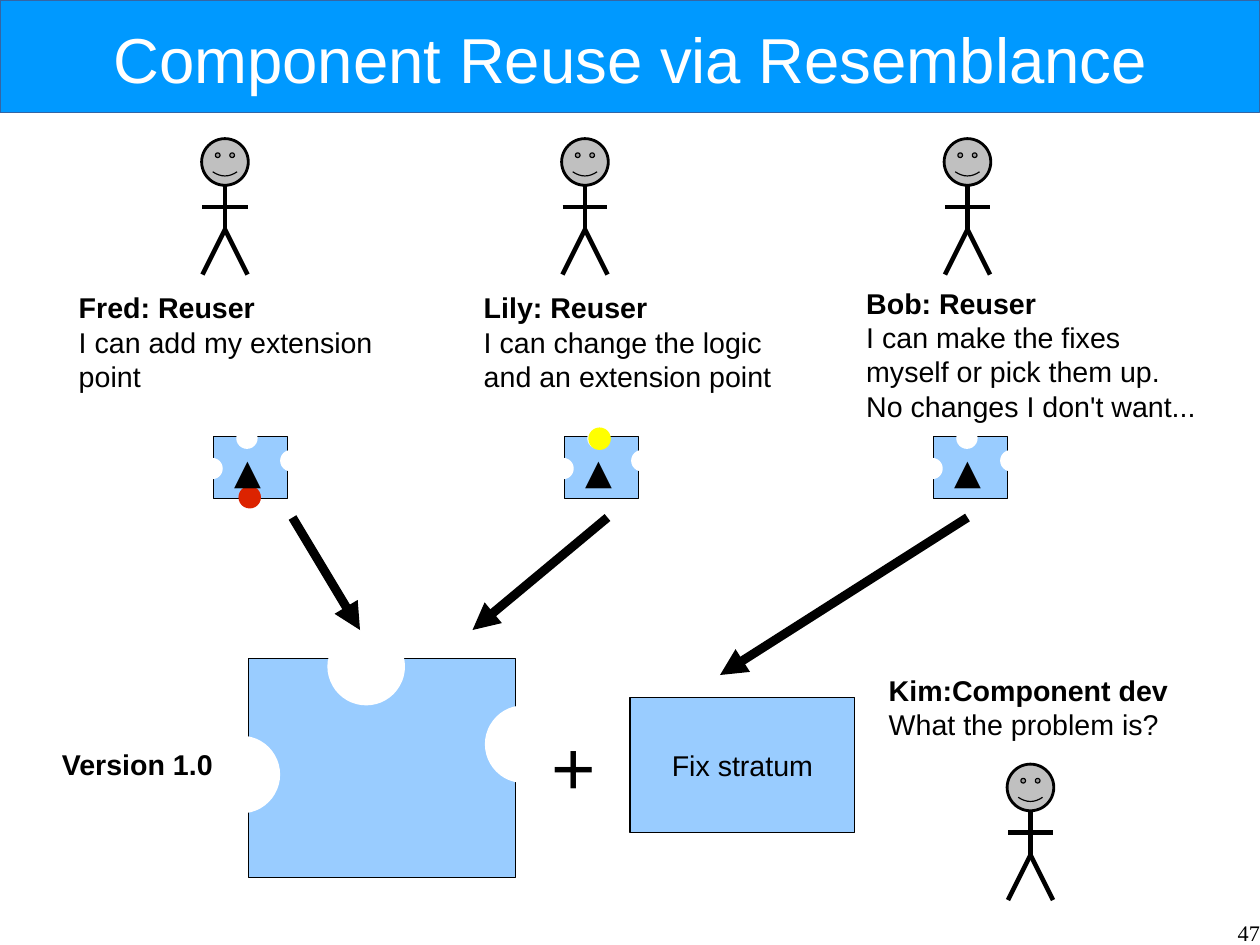
"""Build the slide on component reuse via resemblance."""
from lxml.etree import SubElement
from pptx import Presentation
from pptx.dml.color import RGBColor
from pptx.enum.shapes import MSO_CONNECTOR, MSO_SHAPE
from pptx.enum.text import MSO_ANCHOR, MSO_AUTO_SIZE, PP_ALIGN
from pptx.oxml.ns import qn
from pptx.util import Pt

PX = 9000
COLORS = {
    "banner": "0099FF", "banner_line": "3465A4", "block": "99CCFF",
    "black": "000000", "white": "FFFFFF", "face": "C0C0C0",
    "red": "DC2300", "yellow": "FFFF00",
}


def add_shape(shapes, kind, box, fill, line=None, width=0):
    shape = shapes.add_shape(kind, *[value * PX for value in box])
    shape.shadow.inherit = False
    shape.fill.solid()
    shape.fill.fore_color.rgb = RGBColor.from_string(COLORS[fill])
    if line:
        shape.line.color.rgb = RGBColor.from_string(COLORS[line])
        shape.line.width = Pt(width)
    else:
        shape.line.fill.background()
    return shape


def write_text(shape, text, size=18, font="Arial", color="black", heading=False,
               align=PP_ALIGN.LEFT, anchor=MSO_ANCHOR.TOP, wrap=True, inset=(10, 5)):
    frame = shape.text_frame
    frame.auto_size = MSO_AUTO_SIZE.NONE
    frame.word_wrap = wrap
    frame.vertical_anchor = anchor
    frame.margin_left = frame.margin_right = inset[0] * PX
    frame.margin_top = frame.margin_bottom = inset[1] * PX
    frame.text = text
    for index, paragraph in enumerate(frame.paragraphs):
        paragraph.alignment = align
        paragraph.font.size = Pt(size)
        paragraph.font.name = font
        paragraph.font.bold = heading and index == 0
        paragraph.font.color.rgb = RGBColor.from_string(COLORS[color])


presentation = Presentation()
presentation.slide_width = 1120 * PX
presentation.slide_height = 840 * PX
slide = presentation.slides.add_slide(presentation.slide_layouts[5])
shapes = slide.shapes

title = shapes.title
title.left, title.top, title.width, title.height = 56 * PX, 9 * PX, 1008 * PX, 86 * PX
write_text(title, "Component Reuse via Resemblance", size=40, color="white",
           align=PP_ALIGN.CENTER, anchor=MSO_ANCHOR.MIDDLE, inset=(0, 0))
banner = add_shape(shapes, MSO_SHAPE.RECTANGLE, (0, 0, 1120, 100), "banner", "banner_line")
title.element.addprevious(banner.element)

NOTCHES = [(70, -27), (-41, 69), (210, 42)]
for left, top, scale in [(221, 585, 1), (190, 388, 0.28), (502, 388, 0.28), (830, 388, 0.28)]:
    puzzle = shapes.add_group_shape().shapes
    add_shape(puzzle, MSO_SHAPE.RECTANGLE,
              (left, top, round(237 * scale), round(195 * scale)), "block", "black")
    diameter = round(69 * scale)
    for across, down in NOTCHES:
        add_shape(puzzle, MSO_SHAPE.OVAL,
                  (left + round(across * scale), top + round(down * scale), diameter, diameter),
                  "white")

for left, top, color in [(212, 432, "red"), (523, 380, "yellow")]:
    add_shape(shapes, MSO_SHAPE.OVAL, (left, top, 20, 20), color)

for left in (208, 520, 848):
    triangle = shapes.add_textbox(left * PX, 400 * PX, 45 * PX, 40 * PX)
    write_text(triangle, "▲", size=22, font="Calibri", inset=(0, 0))

labels = [
    ((45, 659, 155, 40), "Version 1.0", False),
    ((60, 253, 281, 97), "Fred: Reuser\nI can add my extension\npoint", False),
    ((420, 253, 275, 97), "Lily: Reuser\nI can change the logic\nand an extension point", False),
    ((760, 249, 313, 125), "Bob: Reuser\nI can make the fixes\nmyself or pick them up.\n"
                           "No changes I don't want...", False),
    ((780, 593, 324, 68), "Kim:Component dev\nWhat the problem is?", True),
]
for box, text, wrap in labels:
    label = shapes.add_textbox(*[value * PX for value in box])
    write_text(label, text, heading=True, wrap=wrap)

stratum = add_shape(shapes, MSO_SHAPE.RECTANGLE, (560, 620, 200, 120), "block", "black")
write_text(stratum, "Fix stratum", align=PP_ALIGN.CENTER, anchor=MSO_ANCHOR.MIDDLE)
plus = shapes.add_textbox(480 * PX, 634 * PX, 60 * PX, 85 * PX)
write_text(plus, "+", size=48, wrap=False)
page_number = shapes.add_textbox(859 * PX, 817 * PX, 261 * PX, 58 * PX)
write_text(page_number, "47", size=14, font="Times New Roman",
           align=PP_ALIGN.RIGHT, inset=(0, 0))

LIMBS = [(20, 40, 20, 80), (0, 120, 20, 80), (40, 120, 20, 80), (0, 60, 40, 60)]
ARROWS = [(260, 460, 320, 560), (540, 460, 420, 560), (860, 460, 640, 600)]
strokes = [(shapes, arrow, 5.67, True) for arrow in ARROWS]
for left, top in [(180, 124), (500, 124), (840, 124), (896, 680)]:
    person = shapes.add_group_shape().shapes
    head = (left, top, 40, 40)
    add_shape(person, MSO_SHAPE.OVAL, head, "white", "black", 2.83)
    smiley = add_shape(person, MSO_SHAPE.SMILEY_FACE, head, "face", "black")
    smiley.adjustments[0] = 0.047
    for x1, y1, x2, y2 in LIMBS:
        strokes.append((person, (left + x1, top + y1, left + x2, top + y2), 2.83, False))

for container, ends, width, has_arrow in strokes:
    connector = container.add_connector(MSO_CONNECTOR.STRAIGHT, *[value * PX for value in ends])
    connector.line.color.rgb = RGBColor.from_string(COLORS["black"])
    connector.line.width = Pt(width)
    properties = connector.element.spPr
    if has_arrow:
        SubElement(properties.find(qn("a:ln")), qn("a:tailEnd"), type="triangle")
    SubElement(properties, qn("a:effectLst"))

presentation.save("out.pptx")
